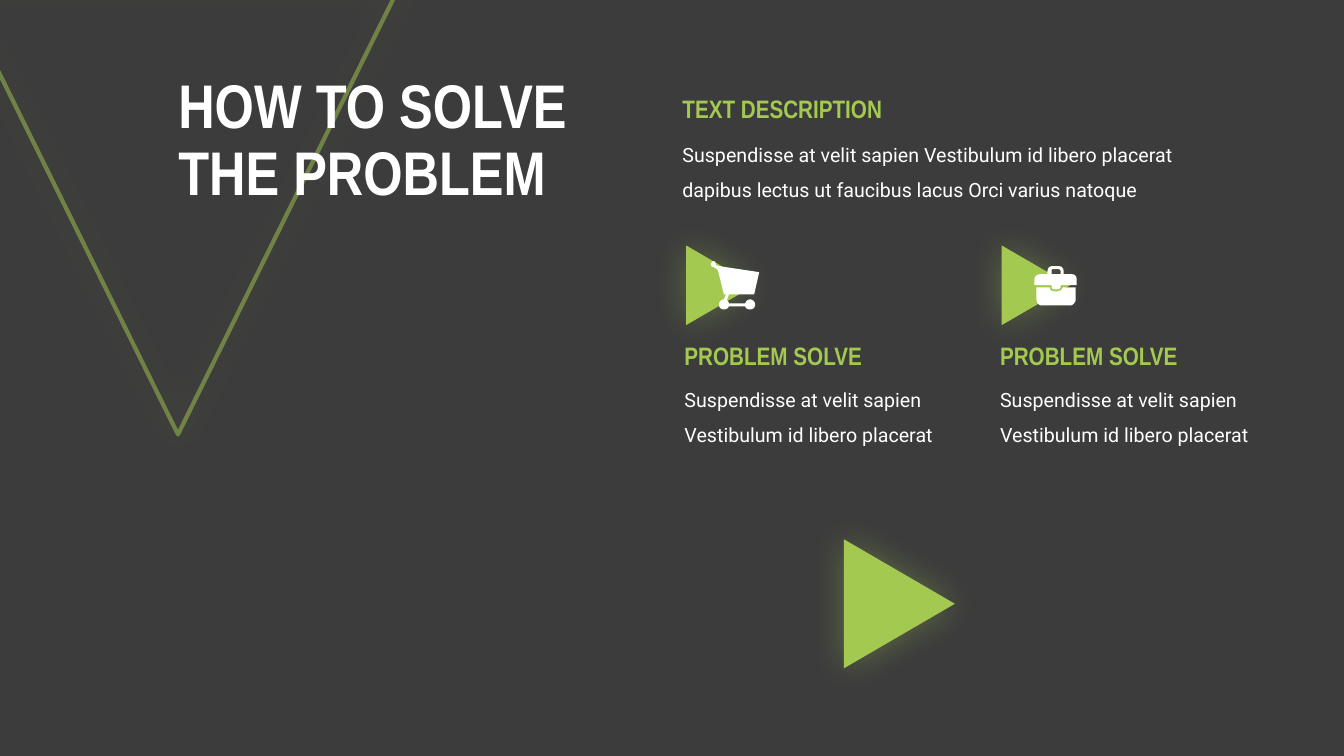
from lxml.etree import SubElement
from pptx import Presentation
from pptx.dml.color import RGBColor
from pptx.enum.shapes import MSO_SHAPE
from pptx.enum.text import MSO_ANCHOR, MSO_AUTO_SIZE
from pptx.oxml.ns import qn
from pptx.util import Inches, Pt

COLORS = {"background": "3C3C3C", "accent": "A3C951", "text": "FFFFFF"}
HEADING_FONT = "Arial Narrow"
BODY_FONT = "Roboto"

# Outlines are in hundredths of an inch: pairs are corners, sixes are cubic curves.
CART = [[
    (39, 38), (36, 38, 35, 40, 34, 42), (18, 42), (18, 41, 17, 40, 16, 39),
    (18, 33), (43, 33), (48, 11), (8, 5), (5, 4), (5, 3),
    (5, 2, 4, 0, 3, 0), (1, 0, 0, 2, 0, 3), (0, 5, 1, 6, 3, 6),
    (7, 9), (13, 33), (15, 33), (13, 38),
    (10, 38, 8, 41, 8, 43), (8, 46, 10, 48, 13, 48), (15, 48, 17, 47, 18, 45),
    (34, 45), (35, 47, 36, 48, 39, 48), (42, 48, 44, 46, 44, 43),
    (44, 41, 42, 38, 39, 38),
]]
BAG_BASE = [[
    (23, 25), (19, 25), (17, 25, 15, 23, 15, 21), (2, 21), (2, 33),
    (2, 36, 4, 39, 7, 39), (36, 39), (38, 39, 41, 36, 41, 33),
    (41, 21), (28, 21), (28, 23, 25, 25, 23, 25),
]]
BAG_LID = [
    [
        (37, 8), (29, 8), (29, 5), (29, 2, 27, 0, 24, 0), (18, 0),
        (15, 0, 13, 2, 13, 5), (13, 8), (6, 8), (3, 8, 0, 10, 0, 13),
        (0, 19), (17, 19), (17, 20), (17, 22, 18, 23, 19, 23), (23, 23),
        (25, 23, 26, 22, 26, 20), (26, 19), (42, 19), (42, 13),
        (42, 10, 40, 8, 37, 8),
    ],
    [
        (17, 5), (17, 4, 17, 3, 18, 3), (24, 3), (25, 3, 26, 4, 26, 5),
        (26, 8), (17, 8),
    ],
]


def color(name):
    return RGBColor.from_string(COLORS[name])


def add_text(slide, box, text, size, font, color_name, bold=False, spacing=1.0):
    shape = slide.shapes.add_textbox(*map(Inches, box))
    frame = shape.text_frame
    frame.word_wrap = True
    frame.auto_size = MSO_AUTO_SIZE.SHAPE_TO_FIT_TEXT
    frame.text = text
    paragraph = frame.paragraphs[0]
    paragraph.line_spacing = spacing
    for run in paragraph.runs:
        run.font.size = Pt(size)
        run.font.name = font
        run.font.bold = bold
        run.font.color.rgb = color(color_name)
    return shape


def add_heading(slide, box, text):
    add_text(slide, box, text, 18, HEADING_FONT, "accent", bold=True)


def add_body(slide, box, text):
    add_text(slide, box, text, 14, BODY_FONT, "text", spacing=1.5)


def add_triangle(slide, box, rotation):
    shape = slide.shapes.add_shape(MSO_SHAPE.ISOSCELES_TRIANGLE, *map(Inches, box))
    shape.rotation = rotation
    shape.fill.solid()
    shape.fill.fore_color.rgb = color("accent")
    shape.line.fill.background()
    shape.shadow.inherit = False
    effects = shape.element.spPr.find(qn("a:effectLst"))
    shadow = SubElement(effects, qn("a:outerShdw"), blurRad=str(Pt(25)), dist="0",
                        dir="0", algn="ctr", rotWithShape="0")
    tint = SubElement(shadow, qn("a:srgbClr"), val=COLORS["accent"])
    SubElement(tint, qn("a:alpha"), val="35000")
    return shape


def trace(outline, steps=6):
    points = [outline[0]]
    for segment in outline[1:]:
        if len(segment) == 2:
            points.append(segment)
            continue
        start = points[-1]
        first, second, end = segment[:2], segment[2:4], segment[4:]
        for step in range(1, steps + 1):
            t = step / steps
            u = 1 - t
            points.append(tuple(
                u**3 * a + 3 * u * u * t * b + 3 * u * t * t * c + t**3 * d
                for a, b, c, d in zip(start, first, second, end)))
    return [(10 * x, 10 * y) for x, y in points]


def add_icon_part(shapes, left, top, outlines):
    contours = [trace(outline) for outline in outlines]
    builder = shapes.build_freeform(*contours[0][0], scale=Inches(0.001))
    builder.add_line_segments(contours[0][1:], close=True)
    for contour in contours[1:]:
        builder.move_to(*contour[0])
        builder.add_line_segments(contour[1:], close=True)
    shape = builder.convert_to_shape(Inches(left), Inches(top))
    shape.fill.solid()
    shape.fill.fore_color.rgb = color("text")
    shape.line.fill.background()
    shape.shadow.inherit = False


def add_cart(slide, left, top):
    add_icon_part(slide.shapes, left + 0.36, top + 0.1, CART)


def add_briefcase(slide, left, top):
    group = slide.shapes.add_group_shape()
    for part in (BAG_BASE, BAG_LID):
        add_icon_part(group.shapes, left + 0.44, top + 0.15, part)


def add_title(slide, left, top, width, height):
    triangle = add_triangle(slide, (left - 2.1, top - 0.75, 4.39, 4.44), 180)
    triangle.fill.background()
    triangle.line.color.rgb = color("accent")
    triangle.line.width = Pt(3)
    line_color = triangle.line._get_or_add_ln().find(".//" + qn("a:srgbClr"))
    SubElement(line_color, qn("a:alpha"), val="50000")
    title = add_text(slide, (left, top, width, height), "HOW TO SOLVE\vTHE PROBLEM",
                     44, HEADING_FONT, "text", bold=True, spacing=0.9)
    title.text_frame.auto_size = MSO_AUTO_SIZE.NONE
    title.text_frame.vertical_anchor = MSO_ANCHOR.MIDDLE


def add_description(slide, left, top, width):
    add_body(slide, (left, top + 0.37, width, 0.77),
             "Suspendisse at velit sapien Vestibulum id libero placerat "
             "dapibus lectus ut faucibus lacus Orci varius natoque")
    add_heading(slide, (left, top, 2.45, 0.4), "TEXT DESCRIPTION")


def add_card(slide, left, top, width, add_icon):
    add_triangle(slide, (left + 0.06, top, 0.79, 0.68), 90)
    add_body(slide, (left, top + 1.19, width, 0.77),
             "Suspendisse at velit sapien Vestibulum id libero placerat")
    add_heading(slide, (left, top + 0.84, 2.21, 0.4), "PROBLEM SOLVE")
    add_icon(slide, left, top)


def main():
    presentation = Presentation()
    presentation.slide_width = Inches(13.33)
    presentation.slide_height = Inches(7.5)
    slide = presentation.slides.add_slide(presentation.slide_layouts[6])
    slide.background.fill.solid()
    slide.background.fill.fore_color.rgb = color("background")
    add_title(slide, 1.67, 0.62, 5.62, 1.58)
    add_description(slide, 6.67, 0.88, 5.13)
    for column, add_icon in enumerate((add_cart, add_briefcase)):
        add_card(slide, 6.69 + 3.13 * column, 2.49, 2.69, add_icon)
    add_triangle(slide, (8.28, 5.44, 1.28, 1.1), 90)
    presentation.save("out.pptx")


if __name__ == "__main__":
    main()
